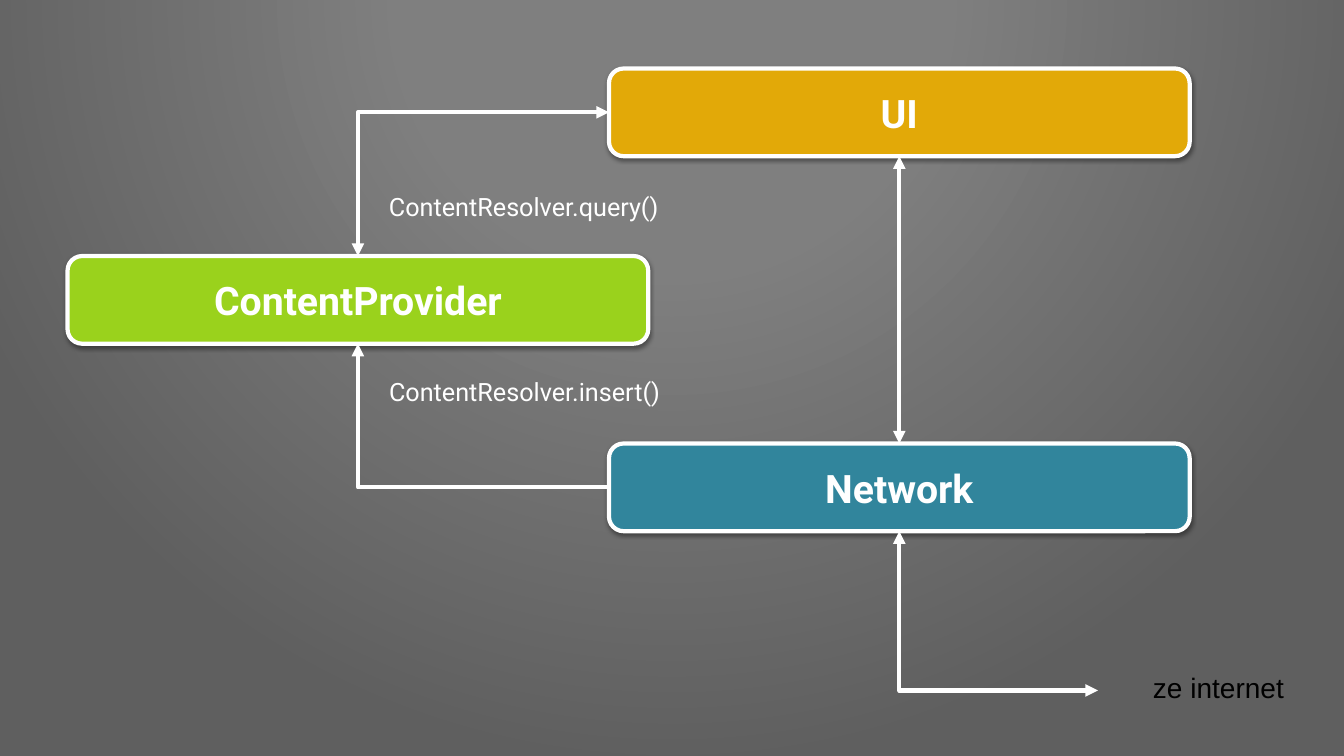
from pptx import Presentation
from pptx.dml.color import RGBColor
from pptx.enum.shapes import MSO_CONNECTOR, MSO_SHAPE
from pptx.enum.text import MSO_ANCHOR, MSO_AUTO_SIZE, PP_ALIGN
from pptx.oxml import parse_xml
from pptx.oxml.ns import nsdecls, qn
from pptx.util import Inches, Pt

STRAIGHT, ELBOW = MSO_CONNECTOR.STRAIGHT, MSO_CONNECTOR.ELBOW
RECT, ROUND = MSO_SHAPE.RECTANGLE, MSO_SHAPE.ROUNDED_RECTANGLE
MIDDLE, GROW = MSO_ANCHOR.MIDDLE, MSO_AUTO_SIZE.SHAPE_TO_FIT_TEXT
LEFT, CENTER = PP_ALIGN.LEFT, PP_ALIGN.CENTER
TOP_SIDE, LEFT_SIDE, BOTTOM_SIDE = 0, 1, 2

WIDE, HIGH = 13.33, 7.5
COLS = (0.67, 6.04)
TOP, STEP = 0.68, 1.86
BOX_W, BOX_H = 5.76, 0.87
WHITE, BLACK = "FFFFFF", "000000"

# name: column, row, fill
BOXES = {
    "UI": (1, 0, "E2A908"),
    "ContentProvider": (0, 1, "9AD21C"),
    "Network": (1, 2, "31859C"),
}
# kind, start, end, arrow at start; an end is a box and its side, or a point
LINKS = [
    (ELBOW, (10.89, 6.85), ("Network", BOTTOM_SIDE), True),
    (STRAIGHT, ("UI", BOTTOM_SIDE), ("Network", TOP_SIDE), True),
    (ELBOW, ("UI", LEFT_SIDE), ("ContentProvider", TOP_SIDE), True),
    (ELBOW, ("Network", LEFT_SIDE), ("ContentProvider", BOTTOM_SIDE), False),
]
# text, left, top, width, height, wrap, alignment, font
CALL = {"name": "Roboto", "size": Pt(18), "color": WHITE}
NOTE = {"name": "Arial", "size": Pt(20), "color": BLACK}
TITLE = {"name": "Roboto", "size": Pt(28), "bold": True, "color": WHITE}
LABELS = [
    ("ContentResolver.query()", 3.76, 1.85, 3.77, 0.4, True, LEFT, CALL),
    ("ContentResolver.insert()", 3.76, 3.68, 3.39, 0.4, True, LEFT, CALL),
    ("ze internet", 11.24, 6.6, 1.69, 0.44, False, CENTER, NOTE),
]
STOPS = [(0, WHITE), (35, WHITE), (100, "BFBFBF")]


def rgb(code):
    return RGBColor.from_string(code)


def node(tag, attrs="", body=""):
    return parse_xml(f"<a:{tag} {nsdecls('a')} {attrs}>{body}</a:{tag}>")


def tint(code, share):
    return f'<a:srgbClr val="{code}"><a:alpha val="{share * 1000}"/></a:srgbClr>'


def write(shape, text, align, font):
    para = shape.text_frame.paragraphs[0]
    para.alignment = align
    run = para.add_run()
    run.text = text
    for key, value in font.items():
        if key == "color":
            run.font.color.rgb = rgb(value)
        else:
            setattr(run.font, key, value)


def paint_back(slide):
    """Radial backdrop, darkened by a half-clear black sheet."""
    slide.background.fill.gradient()
    grad = slide.element.xpath(".//p:bgPr/a:gradFill")[0]
    stops = "".join(
        f'<a:gs pos="{pos * 1000}"><a:srgbClr val="{code}"/></a:gs>'
        for pos, code in STOPS)
    for child in list(grad):
        grad.remove(child)
    grad.append(node("gsLst", body=stops))
    grad.append(node("path", 'path="circle"',
                     '<a:fillToRect l="50000" t="-80000" r="50000" b="180000"/>'))
    sheet = slide.shapes.add_shape(RECT, 0, 0, Inches(WIDE), Inches(HIGH))
    sheet.shadow.inherit = False
    sheet.line.fill.background()
    sheet.fill.solid()
    sheet.fill.fore_color.rgb = rgb(BLACK)
    ink = sheet.element.spPr.find(qn("a:solidFill"))[0]
    ink.append(node("alpha", 'val="50000"'))


def add_box(slide, name, col, row, fill):
    spot = (COLS[col], TOP + row * STEP, BOX_W, BOX_H)
    box = slide.shapes.add_shape(ROUND, *map(Inches, spot))
    box.fill.solid()
    box.fill.fore_color.rgb = rgb(fill)
    box.line.color.rgb = rgb(WHITE)
    box.line.width = Pt(3)
    box.shadow.inherit = False
    box.element.spPr.find(qn("a:effectLst")).append(node(
        "outerShdw", 'blurRad="40000" dist="20000" dir="5400000" rotWithShape="0"',
        tint(BLACK, 38)))
    box.text_frame.vertical_anchor = MIDDLE
    write(box, name, CENTER, TITLE)
    return box


def add_link(slide, boxes, kind, start, end, both):
    glued = isinstance(start[0], str)
    x, y = (0, 0) if glued else map(Inches, start)
    link = slide.shapes.add_connector(kind, x, y, x, y)
    if glued:
        link.begin_connect(boxes[start[0]], start[1])
    link.end_connect(boxes[end[0]], end[1])
    link.line.color.rgb = rgb(WHITE)
    link.line.width = Pt(3)
    props = link.element.spPr
    if kind == ELBOW:
        props.find(qn("a:prstGeom")).set("prst", "bentConnector2")
    for tag in ("headEnd", "tailEnd") if both else ("tailEnd",):
        props.find(qn("a:ln")).append(node(tag, 'type="triangle"'))
    props.append(node("effectLst"))


def add_label(slide, text, x, y, w, h, wrap, align, font):
    label = slide.shapes.add_textbox(*map(Inches, (x, y, w, h)))
    label.text_frame.word_wrap = wrap
    label.text_frame.auto_size = GROW
    write(label, text, align, font)


def main():
    deck = Presentation()
    deck.slide_width, deck.slide_height = Inches(WIDE), Inches(HIGH)
    slide = deck.slides.add_slide(deck.slide_layouts[6])
    paint_back(slide)
    boxes = {name: add_box(slide, name, *spec) for name, spec in BOXES.items()}
    for link in LINKS:
        add_link(slide, boxes, *link)
    for label in LABELS:
        add_label(slide, *label)
    deck.save("out.pptx")


if __name__ == "__main__":
    main()
